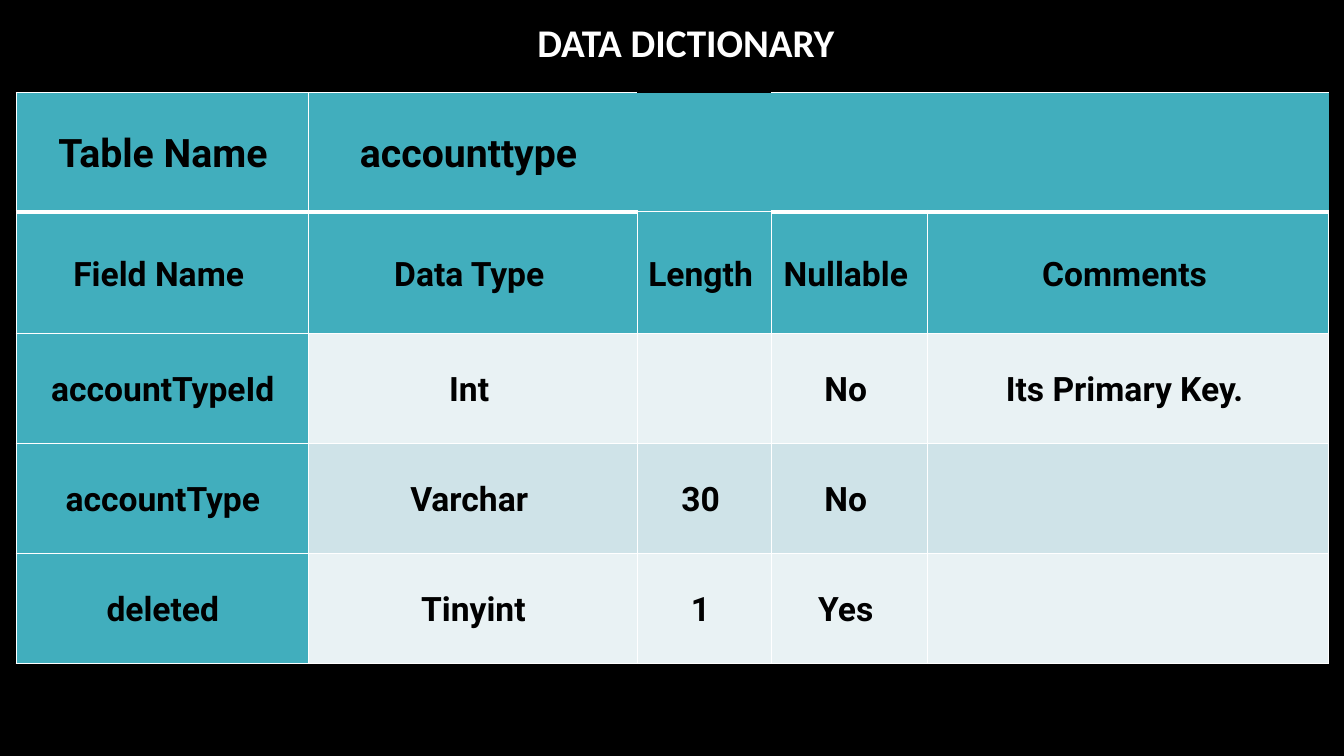
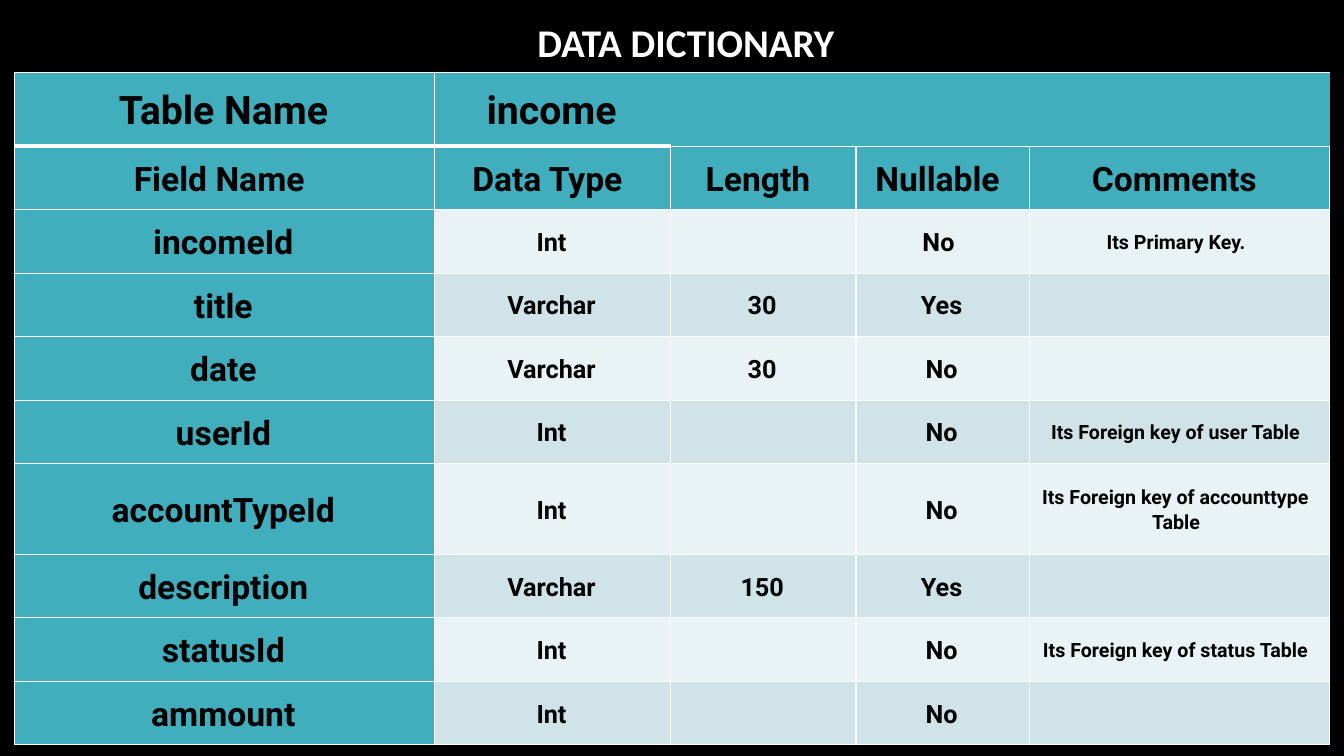
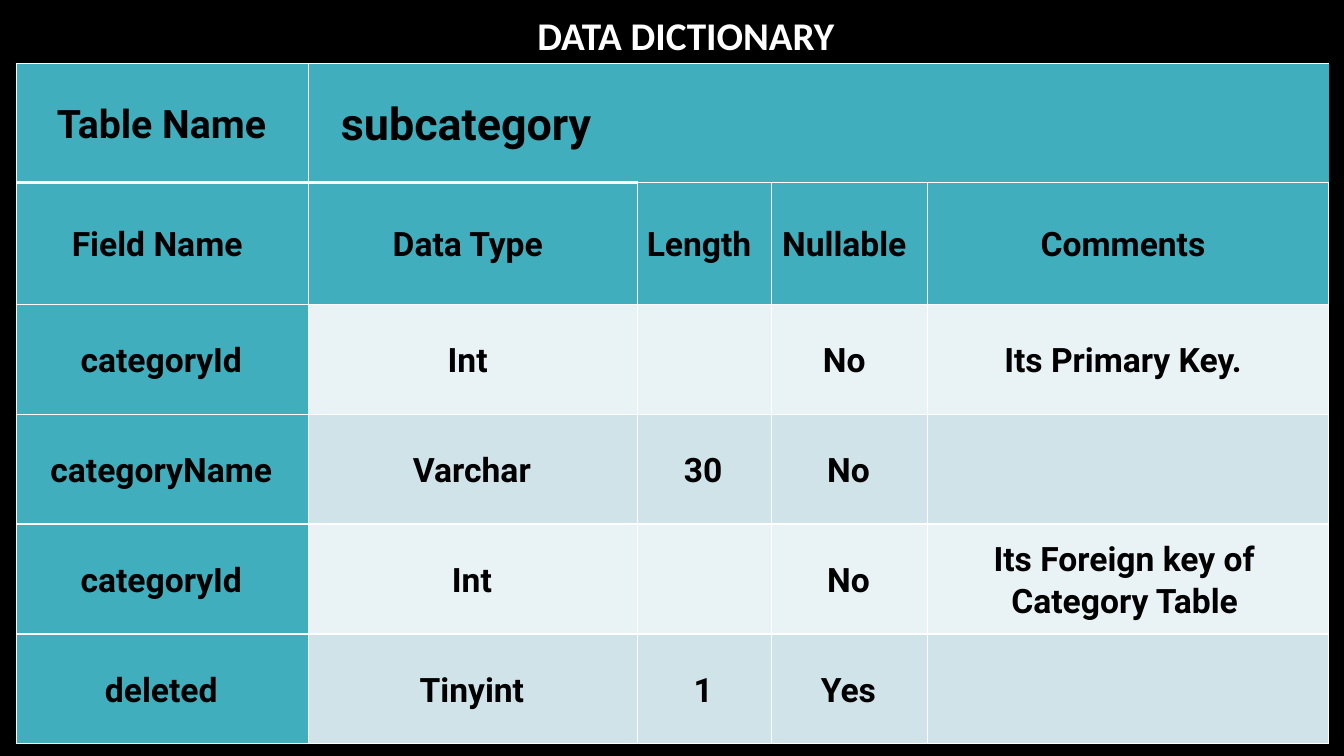
from dataclasses import dataclass

from lxml.etree import SubElement
from pptx import Presentation
from pptx.dml.color import RGBColor
from pptx.enum.text import MSO_ANCHOR, MSO_AUTO_SIZE, PP_ALIGN
from pptx.oxml.ns import qn
from pptx.util import Inches, Pt

# Shared look
BLACK = RGBColor(0x00, 0x00, 0x00)
WHITE = RGBColor(0xFF, 0xFF, 0xFF)
TEAL = RGBColor(0x41, 0xAE, 0xBD)
PALE = RGBColor(0xE9, 0xF2, 0xF4)
MIST = RGBColor(0xCF, 0xE3, 0xE8)
TITLE_FONT, TABLE_FONT = "Calibri", "Roboto"
SLIDE_WIDTH, SLIDE_HEIGHT = 13.33, 7.5
THIN, THICK, NO_LINE = 1, 3, 0
LABEL_SIZE, HEADING_SIZE = 28, 24
HEADINGS = ["Field Name ", "Data Type ", "Length ", "Nullable ", "Comments "]

# Column widths and row heights shared by the two short tables
WIDE_COLUMNS = [2.9, 3.26, 1.33, 1.55, 3.98]
TALL_HEADER = [1.18, 1.21]
TALL_ROW = 1.09


@dataclass
class Dictionary:
    name: str
    fields: list
    columns: list
    rows: list
    left: float
    top: float
    title_top: float = 0.13
    name_size: int = 28
    body_sizes: tuple = (24,) * 5
    right_inset: float = 0.08
    thick_columns: tuple = (0, 1)    # heavy rule under the name row
    topless_columns: tuple = ()      # name row without an upper rule
    closed_right: bool = False       # name row with a rule at its right end
    merged_columns: tuple = ()       # first and last joined cell of the name row


ACCOUNT_TYPE = Dictionary(
    name="accounttype ",
    fields=[
        ["accountTypeId", "Int ", "", "No ", "Its Primary Key. "],
        ["accountType", "Varchar ", "30 ", "No ", ""],
        ["deleted", "Tinyint", "1 ", "Yes ", ""],
    ],
    columns=WIDE_COLUMNS, rows=TALL_HEADER + [TALL_ROW] * 3,
    left=0.16, top=0.92, right_inset=0.05,
    thick_columns=(0, 1, 3, 4), topless_columns=(2,),
    closed_right=True, merged_columns=(3, 4),
)

INCOME = Dictionary(
    name="income",
    fields=[
        ["incomeId", "Int", "", "No ", "Its Primary Key. "],
        ["title", "Varchar", "30", "Yes", ""],
        ["date", "Varchar", "30", "No", ""],
        ["userId", "Int", "", "No", "Its Foreign key of user Table"],
        ["accountTypeId", "Int", "", "No", "Its Foreign key of accounttype Table"],
        ["description", "Varchar", "150", "Yes", ""],
        ["statusId", "Int", "", "No", "Its Foreign key of status Table"],
        ["ammount", "Int", "", "No", ""],
    ],
    columns=[4.17, 2.34, 1.84, 1.72, 2.98],
    rows=[0.73] + [0.63] * 5 + [0.9] + [0.63] * 3,
    left=0.14, top=0.72, body_sizes=(24, 18, 18, 18, 14),
)

SUBCATEGORY = Dictionary(
    name="subcategory ",
    fields=[
        ["categoryId", "Int ", "", "No ", "Its Primary Key. "],
        ["categoryName", "Varchar", "30", "No", ""],
        ["categoryId", "Int", "", "No", "Its Foreign key of Category Table"],
        ["deleted", "Tinyint", "1", "Yes", ""],
    ],
    columns=WIDE_COLUMNS, rows=TALL_HEADER + [TALL_ROW] * 4,
    left=0.16, top=0.63, title_top=0.06, name_size=32,
)


def format_text(paragraph, font_name, size, color):
    paragraph.alignment = PP_ALIGN.CENTER
    for run in paragraph.runs:
        run.font.name = font_name
        run.font.size = Pt(size)
        run.font.bold = True
        run.font.color.rgb = color


def add_title(slide, top):
    width = SLIDE_WIDTH / 2
    title = slide.shapes.add_textbox(Inches(3.47), Inches(top), Inches(width), Inches(0.57))
    frame = title.text_frame
    frame.word_wrap = True
    frame.auto_size = MSO_AUTO_SIZE.SHAPE_TO_FIT_TEXT
    frame.text = "DATA DICTIONARY"
    format_text(frame.paragraphs[0], TITLE_FONT, 28, WHITE)


def cell_edges(entry, row, column):
    """Line widths in points by side: left, right, top, bottom."""
    edges = {"L": THIN, "R": THIN, "T": THIN, "B": THIN}
    name_rule = THICK if column in entry.thick_columns else THIN
    if row == 0:
        last = column == len(entry.columns) - 1
        edges["L"] = THIN if column <= 1 else NO_LINE
        edges["R"] = THIN if column == 0 or (last and entry.closed_right) else NO_LINE
        edges["T"] = NO_LINE if column in entry.topless_columns else THIN
        edges["B"] = name_rule
    elif row == 1:
        edges["T"] = name_rule
    return edges


def draw_edges(cell, edges):
    properties = cell._tc.get_or_add_tcPr()
    for side, width in edges.items():
        line = SubElement(properties, qn(f"a:ln{side}"), w=str(Pt(width)))
        if width == NO_LINE:
            SubElement(line, qn("a:noFill"))
        else:
            fill = SubElement(line, qn("a:solidFill"))
            SubElement(fill, qn("a:srgbClr"), val=str(WHITE))


def cell_fill(row, column):
    if row < 2 or column == 0:
        return TEAL
    return MIST if row % 2 else PALE


def text_size(entry, row, column):
    if row == 0:
        return entry.name_size if column == 1 else LABEL_SIZE
    return HEADING_SIZE if row == 1 else entry.body_sizes[column]


def write_cell(cell, text, size, right_inset):
    cell.vertical_anchor = MSO_ANCHOR.MIDDLE
    cell.margin_left = cell.margin_bottom = 0
    cell.margin_top = Inches(0.01)
    cell.margin_right = Inches(right_inset)
    if not text:
        return
    cell.text_frame.text = text
    paragraph = cell.text_frame.paragraphs[0]
    paragraph.line_spacing = 1.07
    paragraph.space_after = Pt(4.5)
    format_text(paragraph, TABLE_FONT, size, BLACK)
    # Foreign key remarks start at the cell's edge
    indent = 0.01 if text.startswith("Its Foreign") else 0.07
    properties = paragraph._p.get_or_add_pPr()
    properties.set("marL", str(Inches(indent)))
    properties.set("indent", str(Inches(-0.01)))


def add_dictionary(slide, entry):
    name_row = ["Table Name", entry.name, "", "", ""]
    content = [name_row, HEADINGS] + entry.fields
    table = slide.shapes.add_table(
        len(entry.rows), len(entry.columns), Inches(entry.left), Inches(entry.top),
        Inches(sum(entry.columns)), Inches(sum(entry.rows))).table
    table.first_row = table.horz_banding = False
    for column, width in zip(table.columns, entry.columns):
        column.width = Inches(width)
    for row, height in zip(table.rows, entry.rows):
        row.height = Inches(height)

    for r, texts in enumerate(content):
        for c, text in enumerate(texts):
            cell = table.cell(r, c)
            draw_edges(cell, cell_edges(entry, r, c))
            cell.fill.solid()
            cell.fill.fore_color.rgb = cell_fill(r, c)
            write_cell(cell, text, text_size(entry, r, c), entry.right_inset)

    if entry.merged_columns:
        first, last = entry.merged_columns
        table.cell(0, first).merge(table.cell(0, last))


def main():
    deck = Presentation()
    deck.slide_width, deck.slide_height = Inches(SLIDE_WIDTH), Inches(SLIDE_HEIGHT)
    backdrop = deck.slide_master.background.fill
    backdrop.solid()
    backdrop.fore_color.rgb = BLACK

    for entry in (ACCOUNT_TYPE, INCOME, SUBCATEGORY):
        slide = deck.slides.add_slide(deck.slide_layouts[6])
        add_title(slide, entry.title_top)
        add_dictionary(slide, entry)

    deck.save("out.pptx")


if __name__ == "__main__":
    main()
